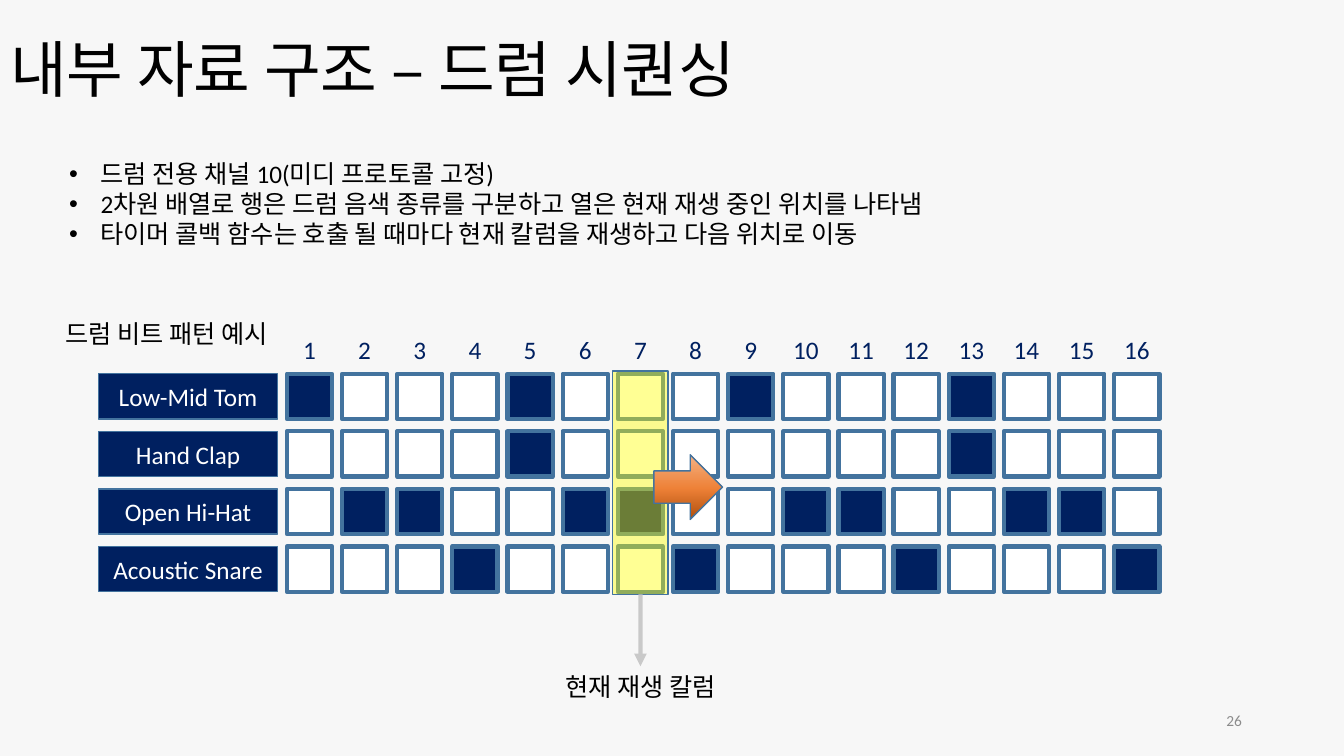
from copy import deepcopy

from lxml.etree import SubElement
from pptx import Presentation
from pptx.dml.color import RGBColor
from pptx.enum.shapes import MSO_CONNECTOR, MSO_SHAPE
from pptx.enum.text import MSO_ANCHOR as Anchor, MSO_AUTO_SIZE as AutoSize, PP_ALIGN as Align
from pptx.oxml.ns import qn
from pptx.util import Cm, Pt

TITLE = "내부 자료 구조 – 드럼 시퀀싱"
POINTS = [
    "드럼 전용 채널 10(미디 프로토콜 고정)",
    "2차원 배열로 행은 드럼 음색 종류를 구분하고 열은 현재 재생 중인 위치를 나타냄",
    "타이머 콜백 함수는 호출 될 때마다 현재 칼럼을 재생하고 다음 위치로 이동",
]
PATTERN_HEADING = "드럼 비트 패턴 예시"
CURRENT_CAPTION = "현재 재생 칼럼"
PAGE = "26"
STEPS = 16
CURRENT_STEP = 7
TRACKS = {
    "Low-Mid Tom": (1, 5, 9, 13),
    "Hand Clap": (5, 13),
    "Open Hi-Hat": (2, 3, 6, 7, 10, 11, 14, 15),
    "Acoustic Snare": (4, 8, 12, 16),
}

BACKGROUND = RGBColor(0xF7, 0xF7, 0xF7)
BLACK = RGBColor(0, 0, 0)
WHITE = RGBColor(0xFF, 0xFF, 0xFF)
NAVY = RGBColor(0x00, 0x20, 0x60)
STEEL = RGBColor(0x43, 0x73, 0x9E)
YELLOW = RGBColor(0xFF, 0xFF, 0x00)
SILVER = RGBColor(0xC9, 0xC9, 0xC9)
GRAY = RGBColor(0x8C, 0x8C, 0x8C)
ORANGES = [
    (0, RGBColor(0xB0, 0x50, 0x0F)),
    (0.48, RGBColor(0xEE, 0x81, 0x37)),
    (1, RGBColor(0xF4, 0xB1, 0x83)),
]

FONT = "Calibri"
GRID_LEFT, GRID_TOP = 7.23, 9.42
CELL, STEP_PITCH, TRACK_PITCH = 1.14, 1.39, 1.45
NUMBER_TOP = 8.23
TRACK_LEFT, TRACK_WIDTH = 2.49, 4.5
HIGHLIGHT_WIDTH, HIGHLIGHT_MARGIN = 1.4, 0.07
CAPTION_TOP, CAPTION_WIDTH = 16.79, 5


def step_left(step):
    return GRID_LEFT + (step - 1) * STEP_PITCH


def write(paragraph, text, size, color, align=Align.LEFT):
    paragraph.alignment = align
    run = paragraph.add_run()
    run.text = text
    run.font.name = FONT
    run.font.size = Pt(size)
    run.font.color.rgb = color


def add_label(slide, box, text, size, color, align, anchor=Anchor.MIDDLE, inset=0.25):
    label = slide.shapes.add_textbox(*map(Cm, box))
    frame = label.text_frame
    frame.word_wrap = True
    frame.vertical_anchor = anchor
    frame.margin_left = frame.margin_right = Cm(inset)
    write(frame.paragraphs[0], text, size, color, align)
    return label


def add_block(slide, preset, box, fill, line_width):
    block = slide.shapes.add_shape(preset, *map(Cm, box))
    block.shadow.inherit = False
    if fill is not None:
        block.fill.solid()
        block.fill.fore_color.rgb = fill
    block.line.color.rgb = STEEL
    block.line.width = Pt(line_width)
    return block


def place(placeholder, box):
    placeholder.left, placeholder.top, placeholder.width, placeholder.height = map(Cm, box)
    placeholder.text_frame.auto_size = AutoSize.NONE
    placeholder.text_frame.word_wrap = True
    return placeholder.text_frame


def add_heading(slide):
    title = place(slide.shapes.title, (0, 0, 29.21, 3.68))
    title.vertical_anchor = Anchor.MIDDLE
    title.paragraphs[0].line_spacing = 0.9
    write(title.paragraphs[0], TITLE, 44, BLACK)

    body = place(slide.placeholders[1], (1.49, 3.86, 26.95, 2.57))
    for index, point in enumerate(POINTS):
        paragraph = body.add_paragraph() if index else body.paragraphs[0]
        properties = paragraph._p.get_or_add_pPr()
        properties.set("marL", str(Cm(0.79)))
        properties.set("indent", str(-Cm(0.79)))
        SubElement(properties, qn("a:buFont")).set("typeface", "Arial")
        SubElement(properties, qn("a:buChar")).set("char", "•")
        paragraph.space_before = Pt(0)
        write(paragraph, point, 18, BLACK)


def add_grid(slide):
    for row, (track, hits) in enumerate(TRACKS.items()):
        top = GRID_TOP + row * TRACK_PITCH
        for step in range(1, STEPS + 1):
            fill = NAVY if step in hits else WHITE
            add_block(slide, MSO_SHAPE.RECTANGLE, (step_left(step), top, CELL, CELL), fill, 3)
        name = add_block(slide, MSO_SHAPE.RECTANGLE, (TRACK_LEFT, top, TRACK_WIDTH, CELL), NAVY, 1)
        name.text_frame.vertical_anchor = Anchor.MIDDLE
        write(name.text_frame.paragraphs[0], track, 18, WHITE, Align.CENTER)
    for step in range(1, STEPS + 1):
        add_label(slide, (step_left(step), NUMBER_TOP, CELL, CELL), str(step), 18, NAVY,
                  Align.CENTER, inset=0)


def add_current_step(slide):
    center = step_left(CURRENT_STEP) + CELL / 2
    height = (len(TRACKS) - 1) * TRACK_PITCH + CELL + 2 * HIGHLIGHT_MARGIN
    highlight = add_block(
        slide, MSO_SHAPE.RECTANGLE,
        (center - HIGHLIGHT_WIDTH / 2, GRID_TOP - HIGHLIGHT_MARGIN, HIGHLIGHT_WIDTH, height),
        YELLOW, 1)
    color = highlight._element.spPr.find(qn("a:solidFill"))[0]
    SubElement(color, qn("a:alpha")).set("val", "42000")

    caption = add_label(slide, (center - CAPTION_WIDTH / 2, CAPTION_TOP, CAPTION_WIDTH, 1.02),
                        CURRENT_CAPTION, 18, BLACK, Align.CENTER, Anchor.TOP)
    pointer = slide.shapes.add_connector(MSO_CONNECTOR.STRAIGHT, 0, 0, 0, 0)
    pointer.begin_connect(highlight, 2)
    pointer.end_connect(caption, 0)
    pointer.line.color.rgb = SILVER
    pointer.line.width = Pt(3)
    SubElement(pointer.line._get_or_add_ln(), qn("a:tailEnd")).set("type", "triangle")
    SubElement(pointer._element.spPr, qn("a:effectLst"))


def add_direction(slide):
    arrow = add_block(slide, MSO_SHAPE.RIGHT_ARROW, (16.48, 11.46, 1.73, 1.63), None, 1)
    arrow.fill.gradient()
    arrow.fill.gradient_angle = 90
    stops = arrow._element.spPr.find(qn("a:gradFill")).find(qn("a:gsLst"))
    stops.append(deepcopy(stops[-1]))
    for stop, (position, color) in zip(arrow.fill.gradient_stops, ORANGES):
        stop.position = position
        stop.color.rgb = color


def main():
    prs = Presentation()
    prs.slide_width, prs.slide_height = Cm(33.87), Cm(19.05)
    slide = prs.slides.add_slide(prs.slide_layouts[1])
    slide.background.fill.solid()
    slide.background.fill.fore_color.rgb = BACKGROUND
    add_heading(slide)
    add_label(slide, (26.67, 17.65, 4.88, 1.02), PAGE, 11, GRAY, Align.RIGHT)
    add_grid(slide)
    add_current_step(slide)
    add_label(slide, (1.17, 7.9, 6.05, 1.02), PATTERN_HEADING, 18, BLACK, Align.CENTER, Anchor.TOP)
    add_direction(slide)
    prs.save("out.pptx")


if __name__ == "__main__":
    main()
